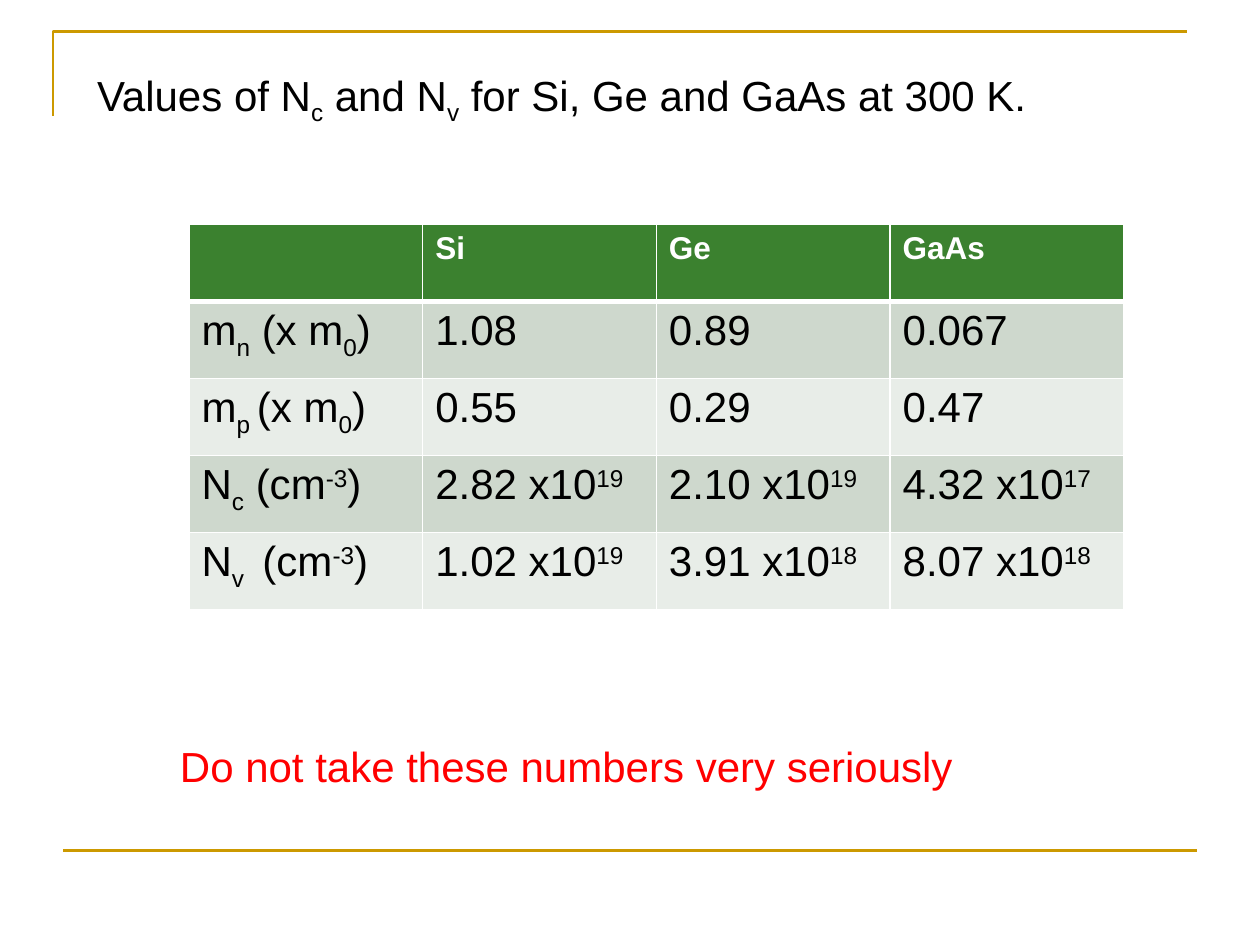
from dataclasses import dataclass

from lxml.etree import SubElement
from pptx import Presentation
from pptx.dml.color import RGBColor as Color
from pptx.enum.text import MSO_ANCHOR as Anchor, MSO_AUTO_SIZE as AutoSize, PP_ALIGN as Align
from pptx.oxml.ns import qn
from pptx.util import Inches, Pt


@dataclass(frozen=True)
class Theme:
    font: str = "Arial"
    text: str = "000000"
    warning: str = "FF0000"
    rule: str = "CC9900"
    grid: str = "FFFFFF"
    header: str = "3B812F"
    bands: tuple = ("CED8CD", "E8EDE8")
    body_size: int = 24
    header_size: int = 18
    rule_width: float = 1.5
    grid_width: int = 1
    header_rule_width: int = 3


BASELINES = {"_": "-25000", "^": "30000"}
TITLE = "Values of N|_c| and N|_v| for Si, Ge and GaAs at 300 K."
WARNING = "Do not take these numbers very seriously"
ROWS = [
    ["", "Si", "Ge", "GaAs"],
    ["m|_n| (x m|_0|)", "1.08", "0.89", "0.067"],
    ["m|_p |(x m|_0|)", "0.55", "0.29", "0.47"],
    ["N|_c| (cm|^-3|)", "2.82 x10|^19", "2.10 x10|^19", "4.32 x10|^17"],
    ["N|_v | (cm|^-3|)", "1.02 x10|^19", "3.91 x10|^18", "8.07 x10|^18"],
]


class SlideBuilder:
    def __init__(self, slide, theme):
        self.slide = slide
        self.theme = theme

    def fill_text(self, text_frame, markup, size, color, bold=False):
        paragraph = text_frame.paragraphs[0]
        paragraph.alignment = Align.LEFT
        for part in filter(None, markup.split("|")):
            run = paragraph.add_run()
            baseline = BASELINES.get(part[0])
            run.text = part[1:] if baseline else part
            run.font.name = self.theme.font
            run.font.size = Pt(size)
            run.font.bold = bold
            run.font.color.rgb = Color.from_string(color)
            if baseline:
                run.font._element.set("baseline", baseline)

    def style_line(self, shape):
        shape.line.color.rgb = Color.from_string(self.theme.rule)
        shape.line.width = Pt(self.theme.rule_width)

    def corner(self, left, top, right, bottom):
        builder = self.slide.shapes.build_freeform(Inches(left), Inches(bottom))
        points = [(left, top), (right, top)]
        builder.add_line_segments([(Inches(x), Inches(y)) for x, y in points], close=False)
        shape = builder.convert_to_shape()
        shape.shadow.inherit = False
        shape.fill.background()
        self.style_line(shape)

    def rule(self, left, right, y):
        connector = self.slide.shapes.add_connector(1, Inches(left), Inches(y), Inches(right), Inches(y))
        self.style_line(connector)
        SubElement(connector._element.spPr, qn("a:effectLst"))

    def title(self, markup, left, top, width, height):
        shape = self.slide.shapes.title
        shape.left, shape.top = Inches(left), Inches(top)
        shape.width, shape.height = Inches(width), Inches(height)
        text_frame = shape.text_frame
        text_frame.auto_size = AutoSize.NONE
        text_frame.vertical_anchor = Anchor.TOP
        self.fill_text(text_frame, markup, self.theme.body_size, self.theme.text)

    def note(self, text, left, top, width, height):
        shape = self.slide.shapes.add_textbox(Inches(left), Inches(top), Inches(width), Inches(height))
        shape.text_frame.word_wrap = False
        self.fill_text(shape.text_frame, text, self.theme.body_size, self.theme.warning)

    def border(self, cell, widths):
        properties = cell._tc.get_or_add_tcPr()
        for side, width in widths.items():
            line = SubElement(properties, qn(f"a:ln{side}"), w=str(Pt(width)))
            fill = SubElement(line, qn("a:solidFill"))
            SubElement(fill, qn("a:srgbClr"), val=self.theme.grid)

    def table(self, rows, left, top, width, height):
        theme = self.theme
        table = self.slide.shapes.add_table(
            len(rows), len(rows[0]), Inches(left), Inches(top), Inches(width), Inches(height)
        ).table
        for row_index, row in enumerate(rows):
            is_header = row_index == 0
            fill = theme.header if is_header else theme.bands[(row_index - 1) % 2]
            size = theme.header_size if is_header else theme.body_size
            color = theme.grid if is_header else theme.text
            widths = dict.fromkeys("LRTB", theme.grid_width)
            if row_index < 2:
                widths["B" if is_header else "T"] = theme.header_rule_width
            for column_index, markup in enumerate(row):
                cell = table.cell(row_index, column_index)
                self.border(cell, widths)
                cell.fill.solid()
                cell.fill.fore_color.rgb = Color.from_string(fill)
                self.fill_text(cell.text_frame, markup, size, color, is_header)


def main():
    presentation = Presentation()
    presentation.slide_width, presentation.slide_height = Inches(10), Inches(7.5)
    slide = presentation.slides.add_slide(presentation.slide_layouts[5])
    builder = SlideBuilder(slide, Theme())
    builder.corner(0.42, 0.25, 9.42, 0.92)
    builder.rule(0.5, 9.5, 6.75)
    builder.title(TITLE, 0.67, 0.5, 8.08, 0.5)
    builder.table(ROWS, 1.5, 1.78, 7.42, 3.06)
    builder.note(WARNING, 1.33, 5.83, 6.4, 0.5)
    presentation.save("out.pptx")


if __name__ == "__main__":
    main()
